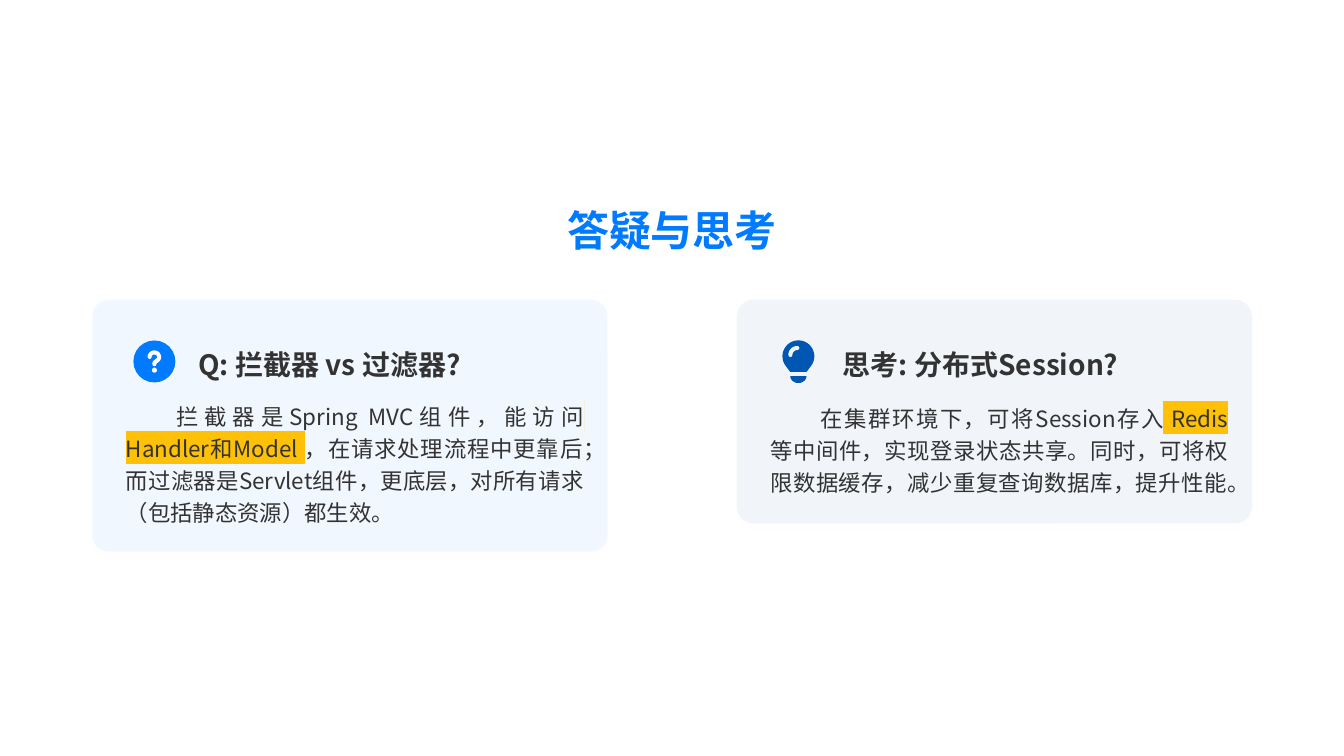
"""Build the question and reflection slide with two cards."""
from math import cos, radians, sin

from lxml import etree
from pptx import Presentation
from pptx.dml.color import RGBColor
from pptx.enum.shapes import MSO_SHAPE
from pptx.enum.text import MSO_ANCHOR, PP_ALIGN
from pptx.oxml.ns import qn
from pptx.util import Pt

ROUND, OVAL = MSO_SHAPE.ROUNDED_RECTANGLE, MSO_SHAPE.OVAL
MIDDLE = MSO_ANCHOR.MIDDLE
LEFT, CENTER, JUSTIFY = PP_ALIGN.LEFT, PP_ALIGN.CENTER, PP_ALIGN.JUSTIFY
FACE = "Noto Sans CJK SC"
COLORS = {"blue": "007BFF", "navy": "0056B3", "ink": "333333",
          "mark": "FFC107", "white": "FFFFFF", "pale": "F1F4F9"}
STYLES = {
    "title": {"size": Pt(30), "bold": True, "name": FACE},
    "head": {"size": Pt(20), "bold": True, "name": FACE},
    "body": {"size": Pt(16), "name": FACE},
}


def rgb(name):
    return RGBColor.from_string(COLORS[name])


def node(parent, tag, **values):
    return etree.SubElement(parent, qn(tag), values)


def shape(slide, kind, box, color):
    item = slide.shapes.add_shape(kind, *map(Pt, box))
    item.shadow.inherit = False
    item.fill.solid()
    item.fill.fore_color.rgb = rgb(color)
    item.line.fill.background()
    return item


def card(slide, box, color):
    item = shape(slide, ROUND, box, color)
    item.adjustments[0] = 12 / box[3]
    props = item._element.spPr
    node(props.find(".//" + qn("a:srgbClr")), "a:alpha", val="5000")
    shade = node(props.find(qn("a:effectLst")), "a:outerShdw",
                 blurRad=str(Pt(6)), dist=str(Pt(4)), dir="5400000")
    tint = node(shade, "a:srgbClr", val="000000")
    node(tint, "a:alpha", val="10000")


def text(slide, box, runs, style, color="ink", align=LEFT, space=1.2, indent=0):
    frame = slide.shapes.add_textbox(*map(Pt, box)).text_frame
    formats = {"word_wrap": True, "vertical_anchor": MIDDLE, "margin_left": 0,
               "margin_top": 0, "margin_right": 0, "margin_bottom": 0}
    for key, value in formats.items():
        setattr(frame, key, value)
    para = frame.paragraphs[0]
    para.alignment = align
    para.line_spacing = space
    if indent:
        props = para._p.get_or_add_pPr()
        props.set("marL", "0")
        props.set("indent", str(Pt(indent)))
    for words, marked in runs:
        run = para.add_run()
        run.text = words
        for key, value in STYLES[style].items():
            setattr(run.font, key, value)
        run.font.color.rgb = rgb(color)
        props = run._r.get_or_add_rPr()
        node(props, "a:ea", typeface=FACE)
        if marked:
            light = node(props, "a:highlight")
            node(light, "a:srgbClr", val=COLORS["mark"])
            props.find(qn("a:solidFill")).addnext(light)


def arc(x, y, wide, high, start, end):
    steps = [radians(start + (end - start) * i / 24) for i in range(25)]
    return [(x + wide * cos(a), y + high * sin(a)) for a in steps]


def outline(slide, points, color, width=0):
    spots = [(Pt(x), Pt(y)) for x, y in points]
    build = slide.shapes.build_freeform(*spots[0])
    build.add_line_segments(spots[1:], close=not width)
    item = build.convert_to_shape()
    item.shadow.inherit = False
    if width:
        item.fill.background()
        item.line.color.rgb = rgb(color)
        item.line.width = Pt(width)
        line = item.line._get_or_add_ln()
        line.set("cap", "rnd")
        node(line, "a:round")
    else:
        item.fill.solid()
        item.fill.fore_color.rgb = rgb(color)
        item.line.fill.background()


def query(slide, x, y):
    shape(slide, OVAL, (x - 15, y - 15, 30, 30), "blue")
    hook = arc(x, y - 3.2, 3.4, 3.2, 180, 420)
    outline(slide, hook + [(x, y + 0.9), (x, y + 2)], "white", 2.9)
    shape(slide, OVAL, (x - 1.8, y + 4.4, 3.6, 3.6), "white")


def bulb(slide, x, y):
    glass = arc(x, y - 3.7, 11.4, 11.4, 140, 400)
    outline(slide, glass + [(x + 5.8, y + 7.5), (x - 5.8, y + 7.5)], "navy")
    outline(slide, arc(x, y + 10.4, 5.8, 5, 0, 180), "navy")
    outline(slide, arc(x - 0.7, y - 4.6, 5, 5, 180, 270), "pale", 2.9)


def main():
    deck = Presentation()
    deck.slide_width, deck.slide_height = Pt(960), Pt(540)
    slide = deck.slides.add_slide(deck.slide_layouts[6])
    text(slide, (12.5, 146, 935, 36), [("答疑与思考", False)], "title",
         "blue", CENTER, 1)
    cards = [
        (66, 180, "blue", query, 44.3, 75.6, 197, "Q: 拦截器 vs 过滤器?", 80,
         [("拦截器是Spring MVC组件，能访问", False),
          (" Handler和Model ", True),
          ("，在请求处理流程中更靠后；而过滤器是Servlet组件，更底层，"
           "对所有请求（包括静态资源）都生效。", False)]),
        (526.3, 160, "navy", bulb, 44, 75.6, 207, "思考: 分布式Session?", 60,
         [("在集群环境下，可将Session存入", False),
          (" Redis ", True),
          ("等中间件，实现登录状态共享。同时，可将权限数据缓存，"
           "减少重复查询数据库，提升性能。", False)]),
    ]
    for x, high, color, icon, mid, gap, wide, head, tall, runs in cards:
        card(slide, (x, 214, 368, high), color)
        icon(slide, x + mid, 258.2)
        text(slide, (x + gap, 244, wide, 28), [(head, False)], "head")
        text(slide, (x + 24, 290, 327, tall), runs, "body",
             align=JUSTIFY, indent=36)
    deck.save("out.pptx")


if __name__ == "__main__":
    main()
